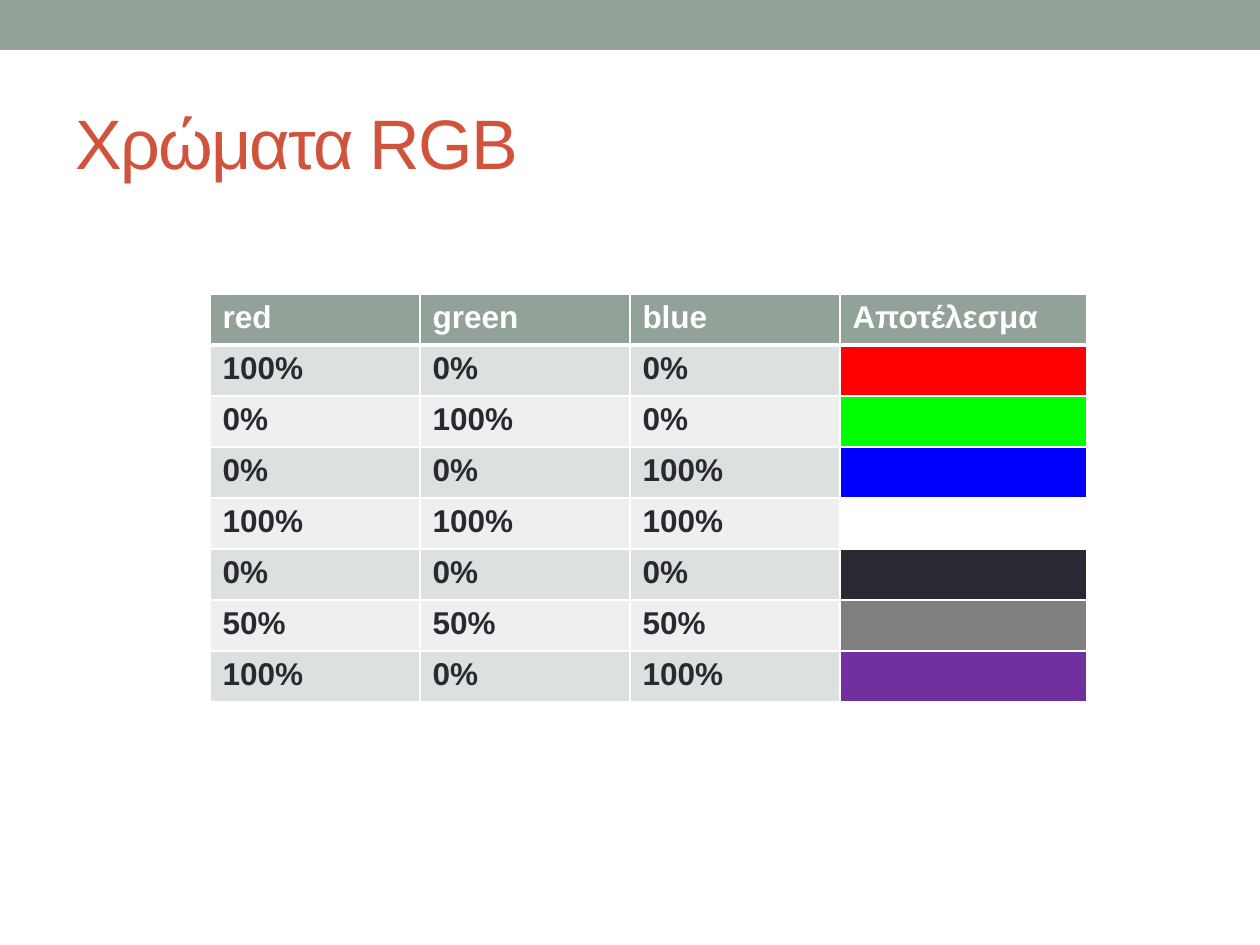
from lxml.etree import SubElement
from pptx import Presentation
from pptx.dml.color import RGBColor
from pptx.enum.shapes import MSO_SHAPE
from pptx.enum.text import MSO_ANCHOR
from pptx.oxml.ns import qn
from pptx.util import Emu, Pt

PX_PER_INCH = 126
FONT = "Arial"
COLORS = {
    "sage": "93A299", "title": "D2533C", "text": "292934", "white": "FFFFFF",
    "odd_row": "DCE0DE", "even_row": "EEF0EF",
    "red": "FF0000", "green": "00FF00", "blue": "0000FF",
    "black": "292934", "gray": "808080", "purple": "7030A0",
}
HEADERS = ["red", "green", "blue", "Αποτέλεσμα"]
MIXES = [
    (100, 0, 0, "red"),
    (0, 100, 0, "green"),
    (0, 0, 100, "blue"),
    (100, 100, 100, "white"),
    (0, 0, 0, "black"),
    (50, 50, 50, "gray"),
    (100, 0, 100, "purple"),
]
COLUMN_WIDTHS = [210, 210, 210, 247]
ROW_HEIGHT = 51


def px(length):
    return Emu(round(length * 914400 / PX_PER_INCH))


def color(name):
    return RGBColor.from_string(COLORS[name])


def style_text(paragraph, size, color_name, bold=False):
    font = paragraph.font if not paragraph.runs else paragraph.runs[0].font
    font.name, font.size, font.bold = FONT, Pt(size), bold
    font.color.rgb = color(color_name)


def add_band(slide):
    band = slide.shapes.add_shape(MSO_SHAPE.RECTANGLE, 0, 0, px(1260), px(50))
    band.shadow.inherit = False
    band.fill.solid()
    band.fill.fore_color.rgb = color("sage")
    band.line.fill.background()


def add_title(slide, text):
    box = slide.shapes.add_textbox(px(63), px(73), px(1134), px(136))
    frame = box.text_frame
    frame.word_wrap = True
    frame.vertical_anchor = MSO_ANCHOR.MIDDLE
    frame.text = text
    paragraph = frame.paragraphs[0]
    style_text(paragraph, 40, "title")
    paragraph.runs[0].font._element.set("spc", "-100")


def set_borders(cell, top, bottom):
    properties = cell._tc.get_or_add_tcPr()
    for side, width in (("L", 1), ("R", 1), ("T", top), ("B", bottom)):
        line = SubElement(properties, qn(f"a:ln{side}"), w=str(Pt(width)))
        fill = SubElement(line, qn("a:solidFill"))
        SubElement(fill, qn("a:srgbClr"), val=COLORS["white"])


def fill_cell(cell, text, fill_name, text_color, top=1, bottom=1):
    set_borders(cell, top, bottom)
    cell.fill.solid()
    cell.fill.fore_color.rgb = color(fill_name)
    cell.text_frame.text = text
    style_text(cell.text_frame.paragraphs[0], 18, text_color, bold=True)


def add_mix_table(slide):
    row_count = len(MIXES) + 1
    table = slide.shapes.add_table(
        row_count, len(HEADERS), px(210), px(294),
        px(sum(COLUMN_WIDTHS)), px(ROW_HEIGHT * row_count)).table
    for column, width in zip(table.columns, COLUMN_WIDTHS):
        column.width = px(width)
    for row in table.rows:
        row.height = px(ROW_HEIGHT)
    for index, header in enumerate(HEADERS):
        fill_cell(table.cell(0, index), header, "sage", "white", bottom=3)
    for number, (*shares, result) in enumerate(MIXES, start=1):
        top = 3 if number == 1 else 1
        row_fill = "odd_row" if number % 2 else "even_row"
        for index, share in enumerate(shares):
            fill_cell(table.cell(number, index), f"{share}%", row_fill, "text", top)
        fill_cell(table.cell(number, len(shares)), "", result, "text", top)


def main():
    """Build the slide on RGB colour mixes."""
    presentation = Presentation()
    presentation.slide_width, presentation.slide_height = px(1260), px(945)
    slide = presentation.slides.add_slide(presentation.slide_layouts[6])
    add_band(slide)
    add_title(slide, "Χρώματα RGB")
    add_mix_table(slide)
    presentation.save("out.pptx")


if __name__ == "__main__":
    main()
